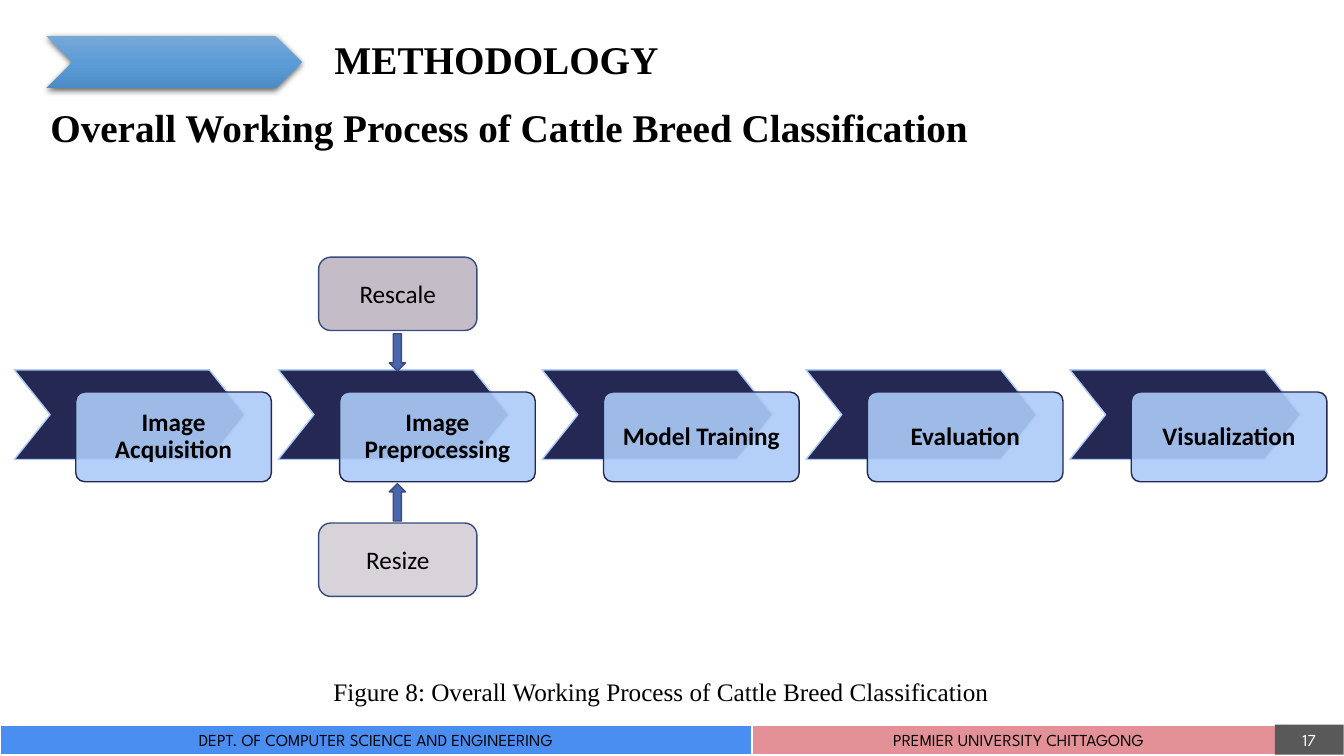
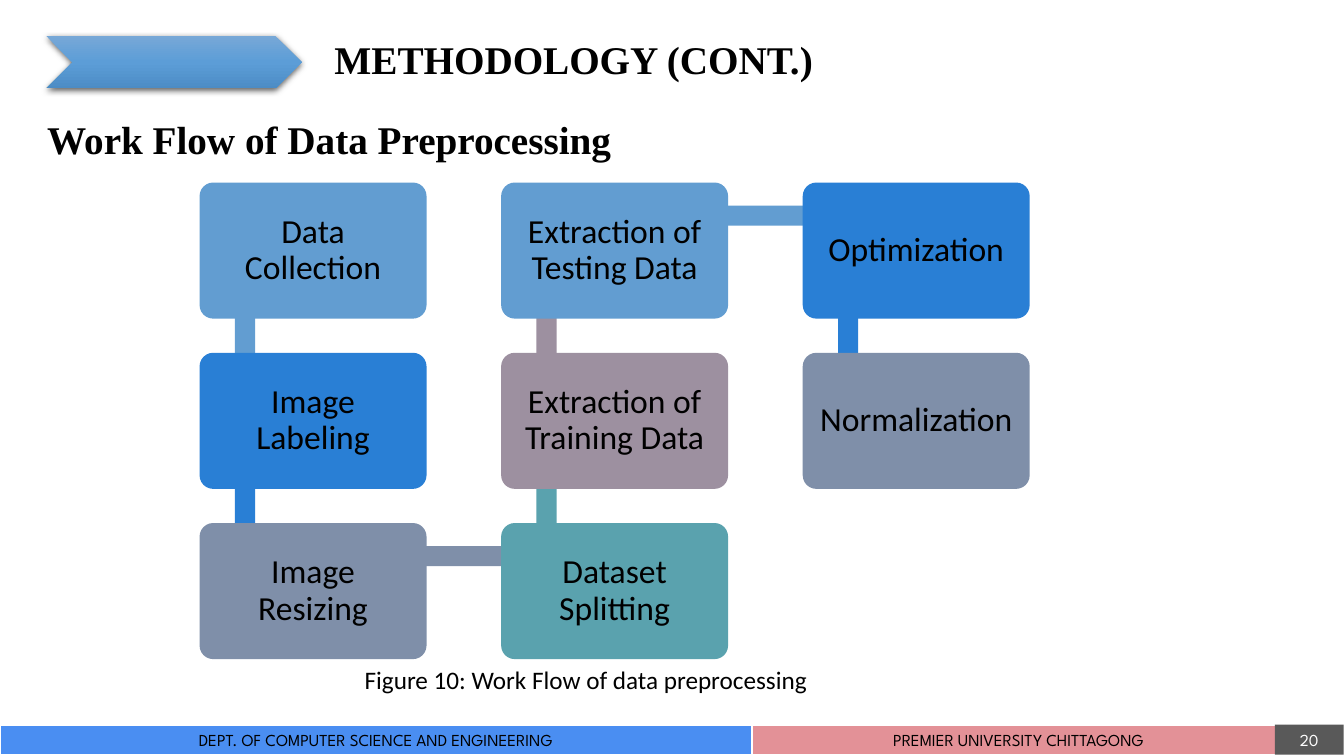
"""Build two methodology slides on cattle breed classification."""
import copy

import pptx
import pptx.dml.color
import pptx.enum.shapes
import pptx.enum.text
import pptx.oxml
import pptx.oxml.ns
import pptx.util
from lxml import etree

Cm = pptx.util.Cm
Pt = pptx.util.Pt
RGBColor = pptx.dml.color.RGBColor
SHAPE = pptx.enum.shapes.MSO_SHAPE
ALIGN = pptx.enum.text.PP_ALIGN
ANCHOR = pptx.enum.text.MSO_ANCHOR
qn = pptx.oxml.ns.qn

BLACK = RGBColor(0x00, 0x00, 0x00)
WHITE = RGBColor(0xFF, 0xFF, 0xFF)
FOOTER_BLUE = RGBColor(0x4A, 0x8E, 0xF2)
FOOTER_PINK = RGBColor(0xE3, 0x91, 0x97)
FOOTER_GRAY = RGBColor(0x59, 0x59, 0x59)
BANNER_TOP = RGBColor(0x77, 0xA8, 0xD7)
BANNER_MIDDLE = RGBColor(0x5C, 0x9D, 0xD7)
BANNER_BOTTOM = RGBColor(0x4C, 0x8C, 0xC5)
NAVY = RGBColor(0x24, 0x28, 0x52)
PALE_BLUE = RGBColor(0xAC, 0xCB, 0xF9)
ARROW_BLUE = RGBColor(0x4A, 0x66, 0xAC)
OUTLINE_BLUE = RGBColor(0x37, 0x4B, 0x7F)
MAUVE = RGBColor(0xC4, 0xBC, 0xC6)
LIGHT_MAUVE = RGBColor(0xD8, 0xD3, 0xD9)
SKY = RGBColor(0x62, 0x9D, 0xD1)
AZURE = RGBColor(0x29, 0x7F, 0xD5)
SLATE = RGBColor(0x7F, 0x8F, 0xA9)
TEAL = RGBColor(0x5A, 0xA2, 0xAE)
PLUM = RGBColor(0x9D, 0x90, 0xA0)

SERIF, SANS, FOOTER_FONT = "Times New Roman", "Calibri", "League Spartan"

DEPARTMENT = "DEPT. OF COMPUTER SCIENCE AND ENGINEERING"
UNIVERSITY = "PREMIER UNIVERSITY CHITTAGONG"

PROCESS = {
    "number": "17",
    "title": "METHODOLOGY",
    "subtitle": "Overall Working Process of Cattle Breed Classification",
    "subtitle_at": (1.02, 2.62, 23.88, 1.45),
    "caption": "Figure 8: Overall Working Process of Cattle Breed Classification",
    "caption_at": (3.96, 16.92, 25.4, 1.02),
    "caption_style": (SERIF, ALIGN.CENTER),
}
STEPS = ["Image Acquisition", "Image Preprocessing", "Model Training",
         "Evaluation", "Visualization"]
OPERATIONS = [
    ("Rescale", MAUVE, 6.48, SHAPE.DOWN_ARROW, 8.41),
    ("Resize", LIGHT_MAUVE, 13.18, SHAPE.UP_ARROW, 12.19),
]

WORKFLOW = {
    "number": "20",
    "title": "METHODOLOGY (CONT.)",
    "subtitle": "Work Flow of Data Preprocessing",
    "subtitle_at": (0.94, 2.92, 23.88, 1.45),
    "caption": "Figure 10: Work Flow of data preprocessing",
    "caption_at": (8.94, 16.61, 15.24, 1.02),
    "caption_style": (SANS, ALIGN.LEFT),
}
STAGES = [
    ("Data Collection", SKY, 0, 0),
    ("Image Labeling", AZURE, 0, 1),
    ("Image Resizing", SLATE, 0, 2),
    ("Dataset Splitting", TEAL, 1, 2),
    ("Extraction of Training Data", PLUM, 1, 1),
    ("Extraction of Testing Data", SKY, 1, 0),
    ("Optimization", AZURE, 2, 0),
    ("Normalization", SLATE, 2, 1),
]


def write(shape, text, font, size, color=BLACK, bold=False,
          align=ALIGN.CENTER, spacing=1.0):
    frame = shape.text_frame
    frame.word_wrap = True
    frame.text = text
    paragraph = frame.paragraphs[0]
    paragraph.alignment = align
    paragraph.line_spacing = spacing
    run_font = paragraph.runs[0].font
    run_font.name, run_font.size, run_font.bold = font, Pt(size), bold
    run_font.color.rgb = color


def add_text(slide, box, text, font, size, **style):
    write(slide.shapes.add_textbox(*map(Cm, box)), text, font, size, **style)


def add_block(slide, kind, box, fill, line=None, weight=1, corner=None):
    block = slide.shapes.add_shape(kind, *map(Cm, box))
    block.shadow.inherit = False
    block.fill.solid()
    block.fill.fore_color.rgb = fill
    if line is None:
        block.line.fill.background()
    else:
        block.line.color.rgb = line
        block.line.width = Pt(weight)
    if corner is not None:
        block.adjustments[0] = corner
    block.text_frame.vertical_anchor = ANCHOR.MIDDLE
    return block


def set_insets(block, inset):
    frame = block.text_frame
    frame.margin_left = frame.margin_right = Cm(inset)
    frame.margin_top = frame.margin_bottom = Cm(inset)


def add_banner(slide):
    banner = add_block(slide, SHAPE.CHEVRON, (1.17, 0.91, 6.43, 1.32), BANNER_MIDDLE)
    banner.fill.gradient()
    banner.fill.gradient_angle = 270
    properties = banner._element.spPr
    stop_list = properties.find(".//" + qn("a:gsLst"))
    stop_list.append(copy.deepcopy(stop_list[0]))
    colors = (BANNER_TOP, BANNER_MIDDLE, BANNER_BOTTOM)
    for stop, color, position in zip(banner.fill.gradient_stops, colors, (0, 0.5, 1)):
        stop.color.rgb = color
        stop.position = position
    shadow = etree.SubElement(
        properties.find(qn("a:effectLst")), qn("a:outerShdw"),
        blurRad=str(Pt(4.5)), dist=str(Pt(1.5)), dir="5400000", rotWithShape="0")
    shadow_color = etree.SubElement(shadow, qn("a:srgbClr"), val=str(BLACK))
    etree.SubElement(shadow_color, qn("a:alpha"), val="63000")


def add_base_slide(deck, content):
    slide = deck.slides.add_slide(deck.slide_layouts[6])
    footer = [
        (DEPARTMENT, 0, 18.95, FOOTER_BLUE, WHITE, BLACK),
        (UNIVERSITY, 18.95, 13.44, FOOTER_PINK, WHITE, BLACK),
        (content["number"], 32.13, 1.73, FOOTER_GRAY, None, WHITE),
    ]
    for text, left, width, fill, line, color in footer:
        band = add_block(slide, SHAPE.RECTANGLE, (left, 18.26, width, 0.76), fill, line, 1.5)
        write(band, text, FOOTER_FONT, 12, color)
    add_banner(slide)
    headings = [(content["title"], (8.18, 0.91, 22.38, 1.52)),
                (content["subtitle"], content["subtitle_at"])]
    for text, box in headings:
        add_text(slide, box, text, SERIF, 28, bold=True, align=ALIGN.LEFT, spacing=0.9)
    font, align = content["caption_style"]
    add_text(slide, content["caption_at"], content["caption"], font, 18, align=align)
    return slide


def add_process(slide):
    left, top, pitch, height = 0.36, 9.32, 6.65, 2.26
    for index, step in enumerate(STEPS):
        x = left + index * pitch
        add_block(slide, SHAPE.CHEVRON, (x, top, 5.82, height), NAVY, PALE_BLUE, corner=0.4)
        card = add_block(slide, SHAPE.ROUNDED_RECTANGLE, (x + 1.55, top + 0.56, 4.93, height),
                         PALE_BLUE, NAVY, corner=0.1)
        card_color = card._element.spPr.find(qn("a:solidFill"))[0]
        etree.SubElement(card_color, qn("a:alpha"), val="90000")
        set_insets(card, 0.36)
        write(card, step, SANS, 18, bold=True, spacing=0.9)
    for label, fill, box_top, arrow, arrow_top in OPERATIONS:
        operation = add_block(slide, SHAPE.ROUNDED_RECTANGLE, (8.03, box_top, 3.99, 1.85),
                              fill, OUTLINE_BLUE)
        write(operation, label, SANS, 18)
        add_block(slide, arrow, (9.81, arrow_top, 0.41, 0.94), ARROW_BLUE, OUTLINE_BLUE)


def add_workflow(slide):
    left, top, across, down = 5.03, 4.6, 7.6, 4.29
    thickness = 0.51
    for (_, color, col, row), (_, _, next_col, next_row) in zip(STAGES, STAGES[1:]):
        x = left + min(col, next_col) * across
        y = top + min(row, next_row) * down
        if col == next_col:
            link_box = (x + 0.89, y + 0.84, thickness, down)
        else:
            link_box = (x + 1.17, y + 0.58, across, thickness)
        add_block(slide, SHAPE.RECTANGLE, link_box, color)
    for label, color, col, row in STAGES:
        stage = add_block(slide, SHAPE.ROUNDED_RECTANGLE,
                          (left + col * across, top + row * down, 5.72, 3.43),
                          color, corner=0.1)
        set_insets(stage, 0.25)
        write(stage, label, SANS, 24, spacing=0.9)


def main():
    deck = pptx.Presentation()
    deck.slide_width, deck.slide_height = Cm(33.87), Cm(19.05)
    add_process(add_base_slide(deck, PROCESS))
    add_workflow(add_base_slide(deck, WORKFLOW))
    deck.save("out.pptx")


if __name__ == "__main__":
    main()
